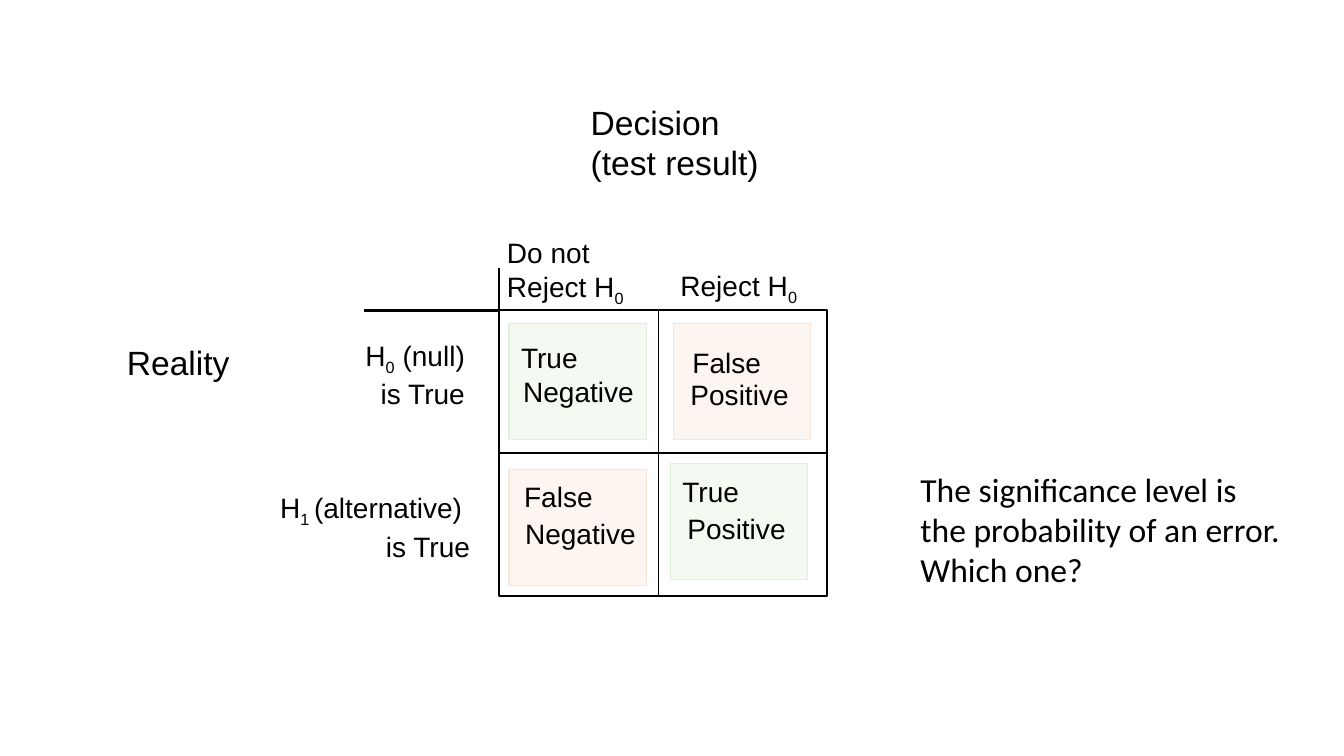
from dataclasses import dataclass

from lxml import etree
from pptx import Presentation
from pptx.dml.color import RGBColor
from pptx.enum.shapes import MSO_CONNECTOR, MSO_SHAPE
from pptx.enum.text import MSO_ANCHOR, MSO_AUTO_SIZE, PP_ALIGN
from pptx.oxml.ns import qn
from pptx.util import Inches, Pt

RECT = MSO_SHAPE.RECTANGLE
STRAIGHT = MSO_CONNECTOR.STRAIGHT
TOP, MIDDLE = MSO_ANCHOR.TOP, MSO_ANCHOR.MIDDLE
LEFT, RIGHT = PP_ALIGN.LEFT, PP_ALIGN.RIGHT
FIT, FIXED = MSO_AUTO_SIZE.SHAPE_TO_FIT_TEXT, MSO_AUTO_SIZE.NONE


@dataclass(frozen=True)
class Theme:
    """Colours, fonts and sizes of the slide."""
    ink: str = "000000"
    error: str = "FBE5D6"
    correct: str = "E2F0D9"
    opacity: int = 36
    label_font: str = "Arial"
    note_font: str = "Calibri"
    heading: int = 24
    label: int = 20
    thin: float = 1
    thick: float = 1.5


class SlideBuilder:
    """Draws styled elements on the current slide."""

    def __init__(self, slide, theme):
        self.s = slide
        self.theme = theme

    def stroke(self, line, color, width):
        """Set the colour and width of a line."""
        line.color.rgb = RGBColor.from_string(color)
        line.width = Pt(width)

    def rect(self, x, y, w, h, line, width, fill=None):
        """Add a rectangle, filled translucently if a fill is given."""
        sp = self.s.shapes.add_shape(RECT, Inches(x), Inches(y), Inches(w), Inches(h))
        sp.shadow.inherit = False
        self.stroke(sp.line, line, width)
        if fill is None:
            sp.fill.background()
        else:
            sp.fill.solid()
            sp.fill.fore_color.rgb = RGBColor.from_string(fill)
            color = sp.fill._xPr.find(qn("a:solidFill"))[0]
            etree.SubElement(color, qn("a:alpha")).set("val", str(self.theme.opacity * 1000))
        return sp

    def line(self, x1, y1, x2, y2, width):
        """Add a straight line in the ink colour."""
        c = self.s.shapes.add_connector(STRAIGHT, Inches(x1), Inches(y1), Inches(x2), Inches(y2))
        self.stroke(c.line, self.theme.ink, width)
        etree.SubElement(c._element.spPr, qn("a:effectLst"))
        return c

    def text(self, text, x, y, w, h, size=None, font=None, align=LEFT, anchor=TOP, wrap=False):
        """Add lines of text in which ~ encloses subscripts."""
        tf = self.s.shapes.add_textbox(Inches(x), Inches(y), Inches(w), Inches(h)).text_frame
        tf.word_wrap = wrap
        tf.auto_size = FIXED if wrap else FIT
        tf.vertical_anchor = anchor
        for i, row in enumerate(text.split("\n")):
            p = tf.add_paragraph() if i else tf.paragraphs[0]
            p.alignment = align
            for j, part in enumerate(row.split("~")):
                if not part:
                    continue
                r = p.add_run()
                r.text = part
                r.font.size = Pt(size or self.theme.label)
                r.font.name = font or self.theme.label_font
                r.font.color.rgb = RGBColor.from_string(self.theme.ink)
                if j % 2:
                    r.font._element.set("baseline", "-25000")


def main():
    """Build the decision table slide."""
    prs = Presentation()
    prs.slide_width, prs.slide_height = Inches(13.33), Inches(7.5)
    theme = Theme()
    b = SlideBuilder(prs.slides.add_slide(prs.slide_layouts[6]), theme)

    cells = [
        (6.68, 3.21, theme.error),
        (5.05, 4.66, theme.error),
        (6.65, 4.6, theme.correct),
        (5.05, 3.21, theme.correct),
    ]
    for x, y, color in cells:
        b.rect(x, y, 1.36, 1.15, color, theme.thin, color)

    left, top, width, height = 4.95, 3.08, 3.25, 2.83
    right, bottom, mid_x, mid_y = left + width, top + height, 6.53, top + height / 2
    frame = b.rect(left, top, width, height, theme.ink, theme.thick)
    b.line(mid_x, top, mid_x, bottom, theme.thin)
    divider = b.line(left, mid_y, right, mid_y, theme.thin)
    divider.begin_connect(frame, 1)
    divider.end_connect(frame, 3)
    b.line(left, top, 3.61, top, theme.thick)
    b.line(left, top, left, 2.66, theme.thick)

    words = [
        ("True", 5.07, 3.22), ("Negative", 5.09, 3.56),
        ("False", 6.77, 3.27), ("Positive", 6.75, 3.59),
        ("False", 5.1, 4.6), ("Negative", 5.11, 4.97),
        ("True", 6.67, 4.55), ("Positive", 6.72, 4.92),
    ]
    for word, x, y in words:
        b.text(word, x, y, 1.36, 0.65, anchor=MIDDLE, wrap=True)

    b.text("Do not\nReject H~0~", 4.93, 2.29, 1.38, 0.77)
    b.text("Reject H~0~", 6.65, 2.61, 1.38, 0.44)
    b.text("H~0~ (null) \nis True", 3.45, 3.31, 1.26, 0.77, align=RIGHT)
    b.text("H~1 ~(alternative) \nis True", 2.64, 4.82, 2.12, 0.77, align=RIGHT)
    b.text("Decision\n(test result)", 5.76, 0.96, 1.88, 0.91, size=theme.heading)
    b.text("Reality", 1.16, 3.34, 1.23, 0.5, size=theme.heading)
    b.text("The significance level is\nthe probability of an error.\nWhich one?",
           9.03, 4.6, 3.95, 1.31, size=theme.heading, font=theme.note_font)

    prs.save("out.pptx")


if __name__ == "__main__":
    main()
